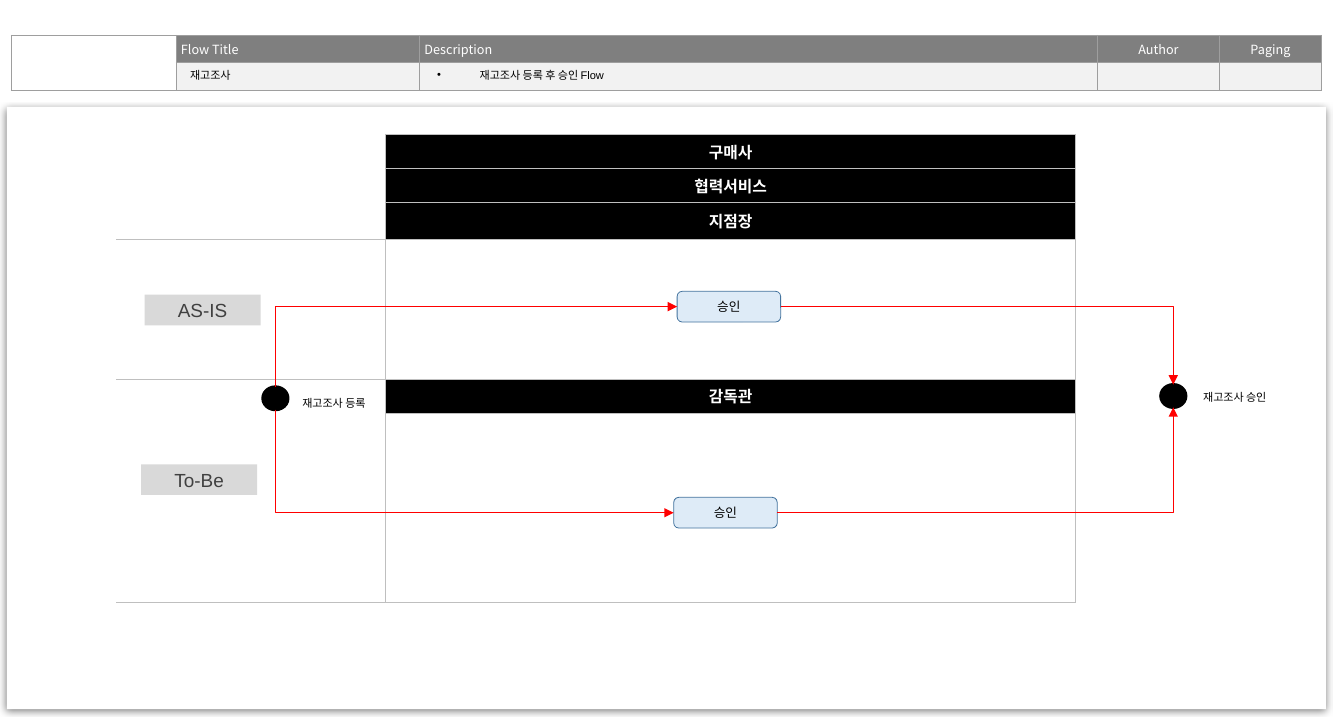
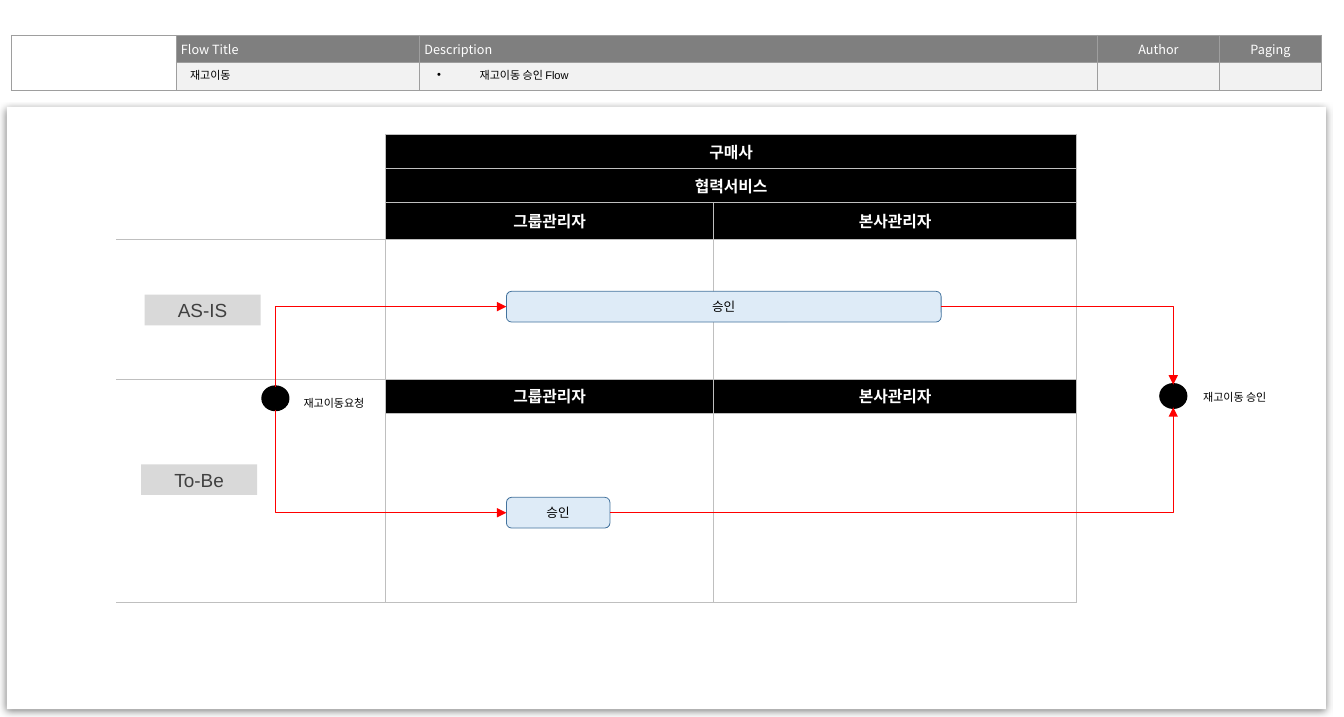
from dataclasses import dataclass

from lxml import etree
from pptx import Presentation
from pptx.dml.color import RGBColor
from pptx.enum import shapes, text
from pptx.oxml.ns import qn
from pptx.util import Inches, Pt


@dataclass(frozen=True)
class Theme:
    black: str = "000000"
    white: str = "FFFFFF"
    header: str = "7F7F7F"
    header_value: str = "F2F2F2"
    header_border: str = "9E9E9E"
    grid: str = "BFBFBF"
    tag: str = "D9D9D9"
    tag_text: str = "404040"
    step: str = "DEEBF7"
    step_line: str = "43739E"
    arrow: str = "FF0000"
    latin: str = "Arial"
    korean: str = "Noto Sans CJK KR"
    small: int = 7
    normal: int = 8
    role: int = 10
    stage: int = 12


@dataclass(frozen=True)
class Box:
    left: float
    top: float
    width: float
    height: float

    def inner(self, left, top, width, height):
        """Box placed relative to this one."""
        return Box(self.left + left, self.top + top, width, height)

    @property
    def emu(self):
        return [Inches(v) for v in (self.left, self.top, self.width, self.height)]

    @property
    def right(self):
        return self.left + self.width

    @property
    def bottom(self):
        return self.top + self.height

    @property
    def center_x(self):
        return self.left + self.width / 2

    @property
    def center_y(self):
        return self.top + self.height / 2


THEME = Theme()
HEADER = Box(0.1, 0.31, 11.51, 0.47)
CARD = Box(0.06, 0.94, 11.59, 5.29)
FLOW = CARD.inner(0.96, 0.24, 8.43, 4.04)
ALIGN = text.PP_ALIGN

FLOWS = [
    dict(title="재고조사", description="재고조사 등록 후 승인 Flow",
         start="재고조사 등록", end="재고조사 승인",
         columns=[2.37, 6.06], roles=["지점장"], new_roles=["감독관"],
         steps=[(4.93, 0.91), (4.9, 0.91)]),
    dict(title="재고이동", description="재고이동 승인 Flow",
         start="재고이동요청", end="재고이동 승인",
         columns=[2.37, 2.88, 3.19], roles=["그룹관리자", "본사관리자"],
         new_roles=["그룹관리자", "본사관리자"],
         steps=[(3.43, 3.82), (3.43, 0.91)]),
]


# Formatting helpers
def rgb(value):
    return RGBColor.from_string(value)


def write(frame, content, size, color=THEME.black, align=ALIGN.CENTER,
          bold=False, latin=THEME.latin):
    frame.text = content
    paragraph = frame.paragraphs[0]
    paragraph.alignment = align
    for run in paragraph.runs:
        font = run.font
        font.size, font.bold, font.name = Pt(size), bold, latin
        font.color.rgb = rgb(color)
        east_asian = etree.Element(qn("a:ea"), typeface=THEME.korean)
        font._element.find(qn("a:latin")).addnext(east_asian)
    if not content:
        etree.SubElement(paragraph._p, qn("a:endParaRPr"), sz=str(size * 100))


def set_borders(cell, color, width, sides="LRTB"):
    properties = cell._tc.get_or_add_tcPr()
    for index, side in enumerate("LRTB"):
        line = etree.Element(qn("a:ln" + side), w=str(Pt(width)))
        if side in sides:
            fill = etree.SubElement(line, qn("a:solidFill"))
            etree.SubElement(fill, qn("a:srgbClr"), val=color)
        else:
            etree.SubElement(line, qn("a:noFill"))
        properties.insert(index, line)


def fill_cell(cell, color=None):
    if color:
        cell.fill.solid()
        cell.fill.fore_color.rgb = rgb(color)
    else:
        cell.fill.background()
    cell.vertical_anchor = text.MSO_ANCHOR.MIDDLE


def add_grid(slide, box, columns, rows):
    frame = slide.shapes.add_table(len(rows), len(columns), *box.emu)
    table = frame.table
    table.first_row = table.horz_banding = False
    for column, width in zip(table.columns, columns):
        column.width = Inches(width)
    for row, height in zip(table.rows, rows):
        row.height = Inches(height)
    return frame


def add_shape(slide, kind, box, fill, line=None, line_width=0.5):
    shape = slide.shapes.add_shape(kind, *box.emu)
    shape.shadow.inherit = False
    shape.fill.solid()
    shape.fill.fore_color.rgb = rgb(fill)
    if line:
        shape.line.color.rgb = rgb(line)
        shape.line.width = Pt(line_width)
    else:
        shape.line.fill.background()
    return shape


def add_label(slide, box, content):
    frame = slide.shapes.add_textbox(*box.emu).text_frame
    frame.word_wrap = True
    frame.auto_size = text.MSO_AUTO_SIZE.SHAPE_TO_FIT_TEXT
    write(frame, content, THEME.small)


def add_arrow(slide, start, end, vertical_first=False):
    """One-corner arrow; a vertical first leg needs a turned frame."""
    (x1, y1), (x2, y2) = start, end
    arrow = slide.shapes.add_connector(
        shapes.MSO_CONNECTOR.ELBOW, *[Inches(v) for v in (x1, y1, x2, y2)])
    arrow.line.color.rgb = rgb(THEME.arrow)
    arrow.line.width = Pt(0.75)
    properties = arrow.element.spPr
    etree.SubElement(properties.find(qn("a:ln")), qn("a:tailEnd"), type="triangle")
    etree.SubElement(properties, qn("a:effectLst"))
    properties.find(qn("a:prstGeom")).set("prst", "bentConnector2")
    if vertical_first:
        width, height = abs(y2 - y1), abs(x2 - x1)
        turned = Box((x1 + x2 - width) / 2, (y1 + y2 - height) / 2, width, height)
        arrow.left, arrow.top, arrow.width, arrow.height = turned.emu
        upward = y2 < y1
        frame = properties.find(qn("a:xfrm"))
        frame.set("rot", str((90 if upward else 270) * 60000))
        frame.set("flipH", "1")
        frame.set("flipV", "1" if upward else "0")


# Shared layout: header band and its two value fields
def prepare_layout(presentation):
    layout = presentation.slide_layouts[1]
    for other in list(presentation.slide_layouts):
        if other != layout:
            presentation.slide_layouts.remove(other)
    for owner in (layout, presentation.slide_master):
        for placeholder in list(owner.placeholders):
            kind = placeholder.placeholder_format.type
            if kind in (shapes.PP_PLACEHOLDER.DATE, shapes.PP_PLACEHOLDER.FOOTER,
                        shapes.PP_PLACEHOLDER.SLIDE_NUMBER):
                placeholder.element.getparent().remove(placeholder.element)
    fields = (HEADER.inner(1.47, 0.24, 2.06, 0.22), HEADER.inner(3.64, 0.24, 5.85, 0.22))
    for placeholder, box in zip(layout.placeholders, fields):
        (placeholder.left, placeholder.top,
         placeholder.width, placeholder.height) = box.emu
    return layout


def add_header_band(slide, layout, box):
    frame = add_grid(slide, box, [1.45, 2.14, 5.95, 1.08, 0.89], [0.24, 0.24])
    table = frame.table
    table.cell(0, 0).merge(table.cell(1, 0))
    headings = ["", "Flow Title", "Description", "Author", "Paging"]
    for row, fill in enumerate((THEME.header, THEME.header_value)):
        for column, heading in enumerate(headings):
            cell = table.cell(row, column)
            cell.margin_left = cell.margin_right = Inches(0.04)
            cell.margin_top = cell.margin_bottom = Inches(0.04)
            write(cell.text_frame, heading if row == 0 else "", THEME.normal,
                  THEME.white, ALIGN.CENTER if column > 2 else ALIGN.LEFT,
                  latin=THEME.korean)
            fill_cell(cell, fill if column else None)
            set_borders(cell, THEME.header_border, 0.75)
    layout.shapes.element.append(frame.element)


def fill_header(slide, flow):
    for placeholder, key in zip(slide.placeholders, ("title", "description")):
        frame = placeholder.text_frame
        paragraph = frame.paragraphs[0]
        properties = paragraph._p.get_or_add_pPr()
        properties.set("marL", "0")
        properties.set("indent", "0")
        etree.SubElement(properties, qn("a:buNone"))
        write(frame, flow[key], THEME.small, align=ALIGN.LEFT)
        paragraph.space_before = Pt(0)
        frame.word_wrap = True
        frame.auto_size = text.MSO_AUTO_SIZE.NONE
        frame.vertical_anchor = text.MSO_ANCHOR.TOP


# Content card with its soft shadow
def add_card(slide, box):
    card = add_shape(slide, shapes.MSO_SHAPE.ROUNDED_RECTANGLE, box, THEME.white)
    card.adjustments[0] = 0
    effects = card.element.spPr.find(qn("a:effectLst"))
    shadow = etree.SubElement(effects, qn("a:outerShdw"), blurRad=str(Pt(4.5)),
                              dist=str(Pt(1.5)), dir="5400000", rotWithShape="0")
    color = etree.SubElement(shadow, qn("a:srgbClr"), val=THEME.black)
    etree.SubElement(color, qn("a:alpha"), val="49000")


# Swimlane table
def add_lanes(slide, box, flow):
    columns = flow["columns"]
    rows = [0.28, 0.28, 0.32, 1.23, 0.27, 1.66]
    table = add_grid(slide, box, columns, rows).table
    last = len(columns) - 1
    headings = {0: ["구매사"], 1: ["협력서비스"], 2: flow["roles"], 4: flow["new_roles"]}
    for row in range(len(rows)):
        names = headings.get(row, [])
        for column in range(len(columns)):
            cell = table.cell(row, column)
            is_heading = bool(names) and column > 0
            name = names[column - 1] if 0 < column <= len(names) else ""
            write(cell.text_frame, name, THEME.role, THEME.white, bold=True)
            fill_cell(cell, THEME.black if is_heading else None)
            sides = "LRTB" if column else "RTB" if row > 2 else "RB"
            set_borders(cell, THEME.grid, 0.5, sides)
    for first, final in (((0, 0), (2, 0)), ((4, 0), (5, 0))):
        table.cell(*first).merge(table.cell(*final))
    if last > 1:
        for row in (0, 1):
            table.cell(row, 1).merge(table.cell(row, last))


# Stage tags, end points, approval steps and arrows
def add_flow(slide, box, flow):
    kinds = shapes.MSO_SHAPE
    start, end = box.inner(1.29, 2.22, 0.22, 0.2), box.inner(9.18, 2.2, 0.22, 0.2)
    for dot in (start, end):
        add_shape(slide, kinds.OVAL, dot, THEME.black, THEME.black, 2)
    add_label(slide, box.inner(1.33, 2.25, 1.17, 0.22), flow["start"])
    add_label(slide, box.inner(9.34, 2.2, 0.98, 0.22), flow["end"])

    for name, left, top in (("AS-IS", 0.25, 1.41), ("To-Be", 0.22, 2.9)):
        tag = add_shape(slide, kinds.RECTANGLE, box.inner(left, top, 1.02, 0.27), THEME.tag)
        write(tag.text_frame, name, THEME.stage, THEME.tag_text)

    for (left, width), top in zip(flow["steps"], (1.38, 3.19)):
        place = box.inner(left, top, width, 0.27)
        step = add_shape(slide, kinds.ROUNDED_RECTANGLE, place, THEME.step, THEME.step_line)
        write(step.text_frame, "승인", THEME.normal)
        above = place.center_y < start.center_y
        leave, arrive = (start.top, end.top) if above else (start.bottom, end.bottom)
        add_arrow(slide, (start.center_x, leave), (place.left, place.center_y), True)
        add_arrow(slide, (place.right, place.center_y), (end.center_x, arrive))


def main():
    presentation = Presentation()
    presentation.slide_width, presentation.slide_height = Inches(11.81), Inches(6.3)
    layout = prepare_layout(presentation)
    for index, flow in enumerate(FLOWS):
        slide = presentation.slides.add_slide(layout)
        if index == 0:
            add_header_band(slide, layout, HEADER)
        fill_header(slide, flow)
        add_card(slide, CARD)
        add_lanes(slide, FLOW, flow)
        add_flow(slide, FLOW, flow)
    presentation.save("out.pptx")


if __name__ == "__main__":
    main()
